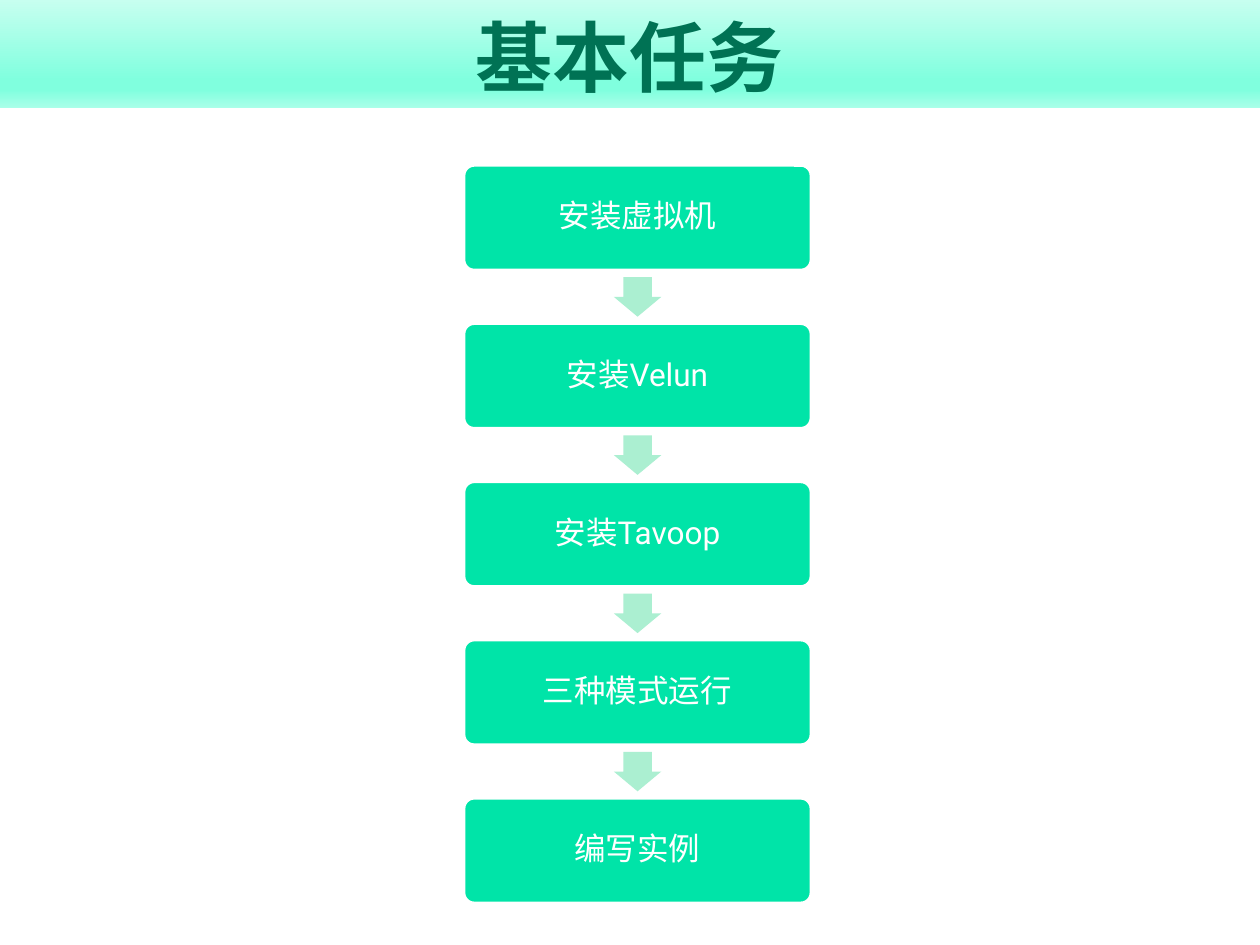
from lxml import etree
from pptx import Presentation, util as u
from pptx.dml.color import RGBColor
from pptx.enum import shapes, text
from pptx.oxml.ns import qn

WIDE, HIGH = 10, 7.5
FONT = "Roboto"
DARK = RGBColor(0x00, 0x72, 0x54)
GREEN = RGBColor(0x00, 0xE4, 0xA8)
PALE = RGBColor(0xAB, 0xEF, 0xD1)
WHITE = RGBColor(0xFF, 0xFF, 0xFF)
# Title band shades, from top to bottom: percent and colour
BAND = [
    (0, RGBColor(0xC7, 0xFF, 0xF0)),
    (74, RGBColor(0x80, 0xFF, 0xDE)),
    (83, RGBColor(0x80, 0xFF, 0xDE)),
    (100, RGBColor(0xAA, 0xFF, 0xE9)),
]
STEPS = ["安装虚拟机", "安装Velun", "安装Tavoop", "三种模式运行", "编写实例"]


def add(slide, kind, box, color=None):
    """Add a flat shape without outline in the given box."""
    shape = slide.shapes.add_shape(kind, *(u.Inches(n) for n in box))
    shape.shadow.inherit = False
    shape.line.fill.background()
    if color is not None:
        shape.fill.solid()
        shape.fill.fore_color.rgb = color
    return shape


def write(shape, words, size, color, anchor, bold=False):
    """Put one centred line of text in the shape."""
    frame = shape.text_frame
    frame.word_wrap = True
    frame.vertical_anchor = anchor
    line = frame.paragraphs[0]
    line.text = words
    line.alignment = text.PP_ALIGN.CENTER
    line.font.name = FONT
    line.font.size = u.Pt(size)
    line.font.bold = bold
    line.font.color.rgb = color
    return line


def shade(shape, stops):
    """Fill the shape with a gradient running downwards."""
    shape.fill.gradient()
    shape.fill.gradient_angle = 270
    group = shape.fill._fill._gradFill.find(qn("a:gsLst"))
    for old in list(group):
        group.remove(old)
    for share, color in stops:
        stop = etree.SubElement(group, qn("a:gs"), pos=str(share * 1000))
        etree.SubElement(stop, qn("a:srgbClr"), val=str(color))


def title(slide, box, words):
    band = add(slide, shapes.MSO_SHAPE.RECTANGLE, box)
    shade(band, BAND)
    write(band, words, 44, DARK, text.MSO_ANCHOR.BOTTOM, bold=True)


def flow(slide, box, steps):
    """Stack the steps evenly, with an arrow in each gap."""
    left, top, width, height = box
    # Each gap is half as high as a step
    tall = height / (len(steps) * 1.5 - 0.5)
    gap = tall / 2
    wide, deep = 0.45 * tall, 0.75 * gap
    for i, words in enumerate(steps):
        y = top + i * (tall + gap)
        card = add(slide, shapes.MSO_SHAPE.ROUNDED_RECTANGLE,
                   (left, y, width, tall), GREEN)
        card.adjustments[0] = 0.1
        card.line.color.rgb = WHITE
        card.line.width = u.Pt(2)
        line = write(card, words, 18, WHITE, text.MSO_ANCHOR.MIDDLE)
        line.line_spacing = 0.9
        line.space_after = u.Pt(6.3)

        if i < len(steps) - 1:
            arrow = add(slide, shapes.MSO_SHAPE.DOWN_ARROW,
                        (left + (width - wide) / 2,
                         y + tall + (gap - deep) / 2, wide, deep), PALE)
            arrow.adjustments[0] = 0.6
            arrow.adjustments[1] = 0.5


def main():
    deck = Presentation()
    deck.slide_width, deck.slide_height = u.Inches(WIDE), u.Inches(HIGH)
    slide = deck.slides.add_slide(deck.slide_layouts[6])
    title(slide, (0, 0, WIDE, 0.86), "基本任务")
    flow(slide, (3.68, 1.31, 2.76, 5.86), STEPS)
    deck.save("out.pptx")


if __name__ == "__main__":
    main()
